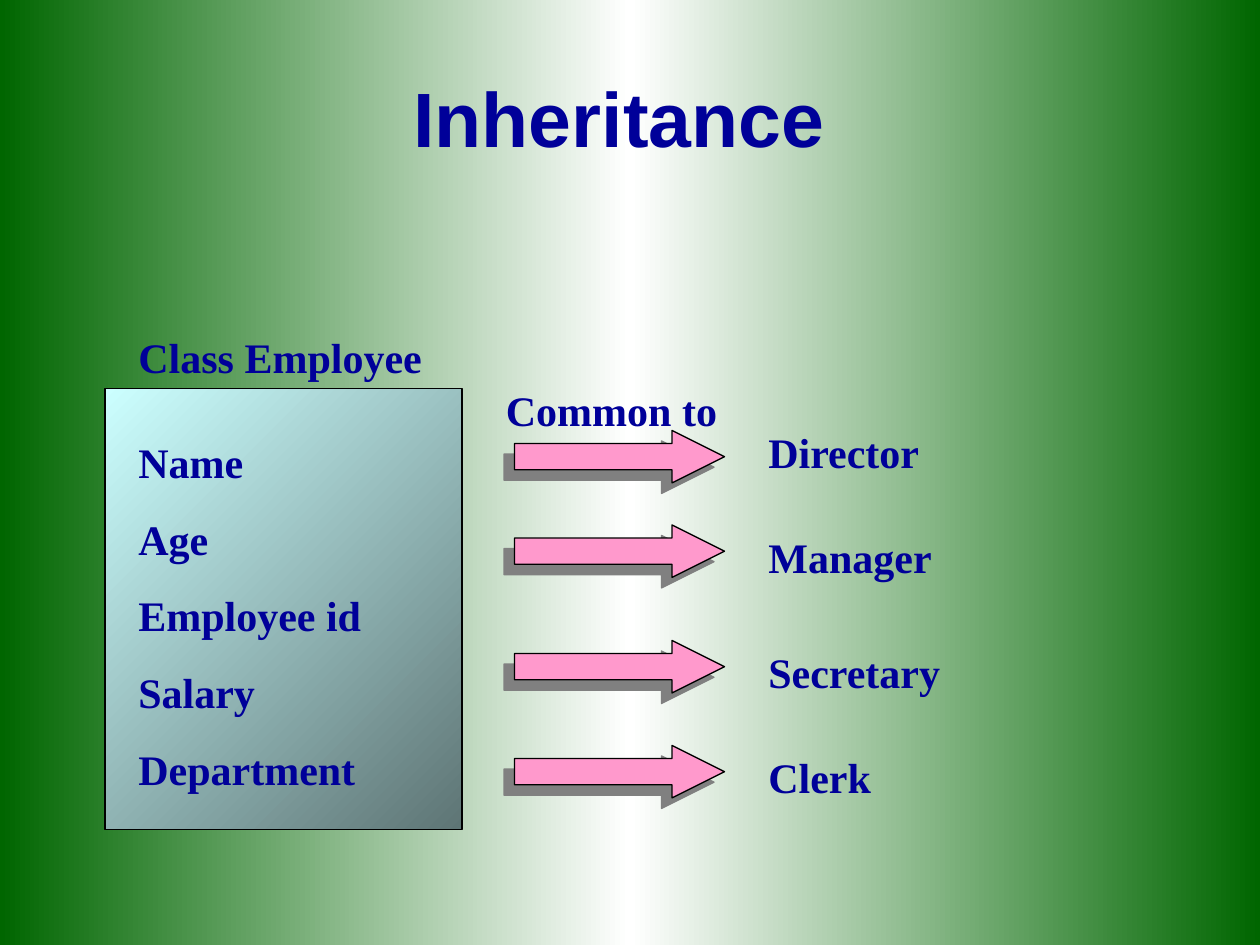
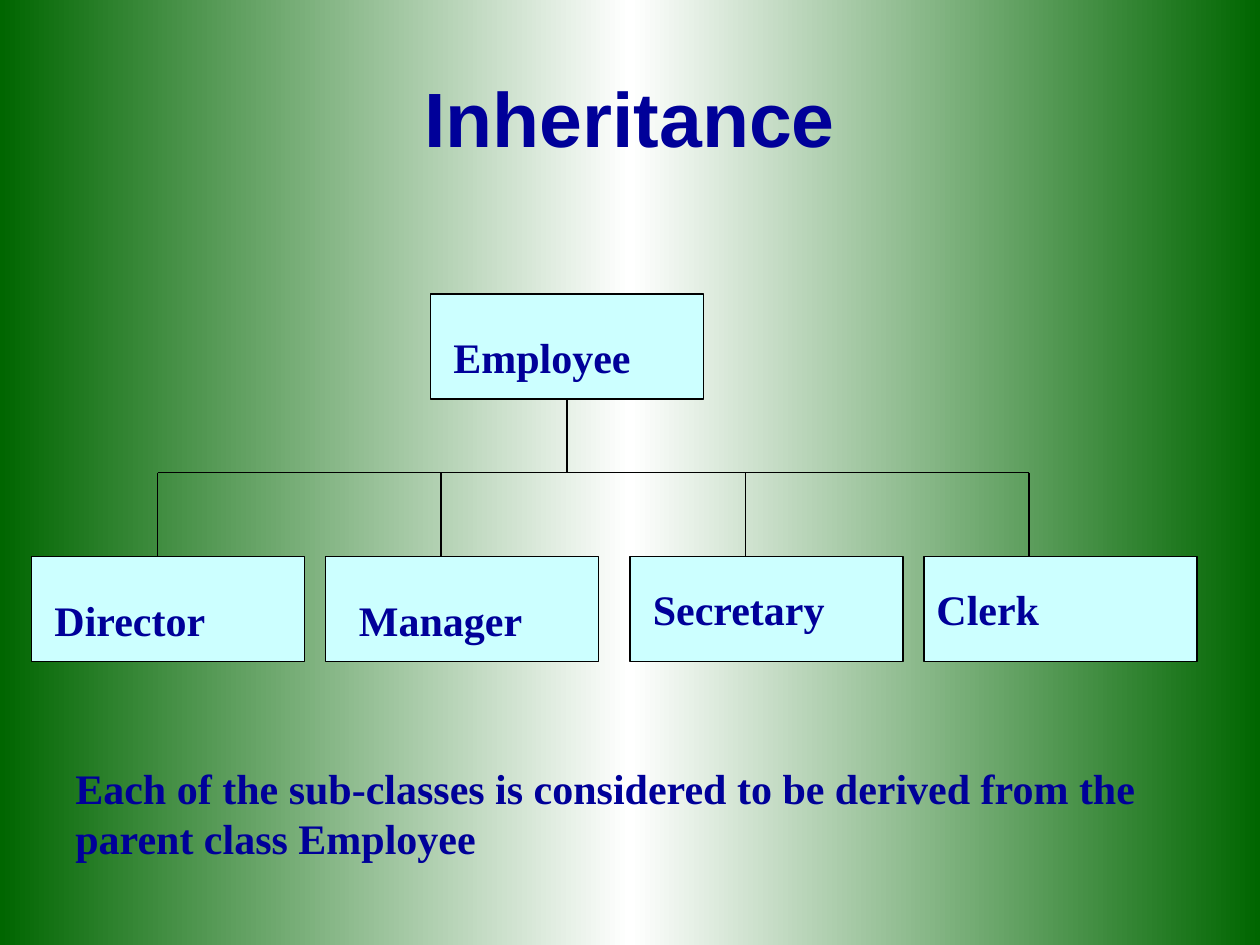
from copy import deepcopy
from typing import NamedTuple, Sequence

from lxml import etree
from pptx import Presentation
from pptx.dml.color import RGBColor
from pptx.enum import shapes, text
from pptx.oxml.ns import qn
from pptx.util import Pt

GREEN = RGBColor(0x00, 0x66, 0x00)
WHITE = RGBColor(0xFF, 0xFF, 0xFF)
BLACK = RGBColor(0x00, 0x00, 0x00)
NAVY = RGBColor(0x00, 0x00, 0x99)
PALE_CYAN = RGBColor(0xCC, 0xFF, 0xFF)
DARK_TEAL = RGBColor(0x5E, 0x75, 0x75)
PINK = RGBColor(0xFF, 0x99, 0xCC)
GREY = RGBColor(0x80, 0x80, 0x80)

TITLE_FONT = {"name": "Arial", "size": Pt(44), "bold": True}
BODY_FONT = {"name": "Times New Roman", "size": Pt(24), "bold": True}
LINE_WIDTH = Pt(0.75)
LABEL_HEIGHT = 36


class Box(NamedTuple):
    """A rectangle in points."""
    left: float
    top: float
    width: float
    height: float

    def lengths(self) -> list:
        return [Pt(v) for v in self]


class Role(NamedTuple):
    """A role that shares the employee fields, with its arrow."""
    name: str
    arrow_top: float
    label_top: float
    label_width: float


class Subclass(NamedTuple):
    """A box in the lower row of the tree, its label and its branch line."""
    name: str
    box_left: float
    branch_x: float
    label: Box


FIELDS = ["Name", "Age", "Employee id", "Salary", "Department"]
ROLES = [
    Role("Director", 246, 240, 174),
    Role("Manager", 300, 300, 126),
    Role("Secretary", 366, 366, 126),
    Role("Clerk", 426, 426, 168),
]
SUBCLASSES = [
    Subclass("Director", 18, 90, Box(24, 336, 168, LABEL_HEIGHT)),
    Subclass("Manager", 186, 252, Box(198, 336, 120, LABEL_HEIGHT)),
    Subclass("Secretary", 360, 426, Box(366, 330, 156, LABEL_HEIGHT)),
    Subclass("Clerk", 528, 588, Box(528, 330, 192, LABEL_HEIGHT)),
]
CLASS_WIDTH, CLASS_HEIGHT = 156, 60
PARENT_TOP, CHILD_TOP, BRANCH_Y, TRUNK_X = 168, 318, 270, 324


def set_gradient(owner, fill, colors: Sequence[RGBColor], angle: float) -> None:
    """Fill with evenly spaced colours; owner is the object whose XML holds the fill."""
    fill.gradient()
    fill.gradient_angle = angle
    stop_list = owner.element.xpath(".//a:gsLst")[0]
    while len(stop_list) < len(colors):
        stop_list.append(deepcopy(stop_list[0]))
    for i, (stop, color) in enumerate(zip(fill.gradient_stops, colors)):
        stop.color.rgb = color
        stop.position = i / (len(colors) - 1)


def add_text(s, box: Box, lines: Sequence[str], font: dict, paragraph: dict, frame: dict) -> None:
    tf = s.shapes.add_textbox(*box.lengths()).text_frame
    for name, value in frame.items():
        setattr(tf, name, value)
    tf.word_wrap = True
    for i, line in enumerate(lines):
        p = tf.add_paragraph() if i else tf.paragraphs[0]
        for name, value in paragraph.items():
            setattr(p, name, value)
        r = p.add_run()
        r.text = line
        r.font.color.rgb = NAVY
        for name, value in font.items():
            setattr(r.font, name, value)


def add_label(s, box: Box, *lines: str) -> None:
    add_text(s, box, lines, BODY_FONT, {"space_before": Pt(15)},
             {"auto_size": text.MSO_AUTO_SIZE.SHAPE_TO_FIT_TEXT})


def add_outlined(s, kind, box: Box, color: RGBColor):
    sp = s.shapes.add_shape(kind, *box.lengths())
    sp.fill.solid()
    sp.fill.fore_color.rgb = color
    sp.line.color.rgb = BLACK
    sp.line.width = LINE_WIDTH
    sp.shadow.inherit = False
    return sp


def add_class_box(s, left: float, top: float) -> None:
    add_outlined(s, shapes.MSO_SHAPE.RECTANGLE,
                 Box(left, top, CLASS_WIDTH, CLASS_HEIGHT), PALE_CYAN)


def add_arrow(s, box: Box) -> None:
    """Pink block arrow with a hard grey shadow to the lower left."""
    sp = add_outlined(s, shapes.MSO_SHAPE.RIGHT_ARROW, box, PINK)
    sp.adjustments[1] = 1
    effects = sp.element.spPr.find(qn("a:effectLst"))
    shadow = etree.SubElement(effects, qn("a:outerShdw"), blurRad="0", dist=str(Pt(8.5)),
                              dir=str(135 * 60000), algn="ctr", rotWithShape="0")
    etree.SubElement(shadow, qn("a:srgbClr"), val=str(GREY))


def add_line(s, x1: float, y1: float, x2: float, y2: float) -> None:
    line = s.shapes.add_connector(shapes.MSO_CONNECTOR.STRAIGHT, Pt(x1), Pt(y1), Pt(x2), Pt(y2))
    line.line.color.rgb = BLACK
    line.line.width = LINE_WIDTH
    etree.SubElement(line.element.spPr, qn("a:effectLst"))


def new_slide(prs, title: str):
    s = prs.slides.add_slide(prs.slide_layouts[6])
    set_gradient(s, s.background.fill, [GREEN, WHITE, GREEN], 0)
    add_text(s, Box(36, 21.6, 648, 90), [title], TITLE_FONT,
             {"alignment": text.PP_ALIGN.CENTER},
             {"vertical_anchor": text.MSO_ANCHOR.MIDDLE})
    return s


def build_common_fields(prs) -> None:
    s = new_slide(prs, "Inheritance ")
    panel = add_outlined(s, shapes.MSO_SHAPE.RECTANGLE, Box(60, 222, 204, 252), PALE_CYAN)
    set_gradient(panel, panel.fill, [PALE_CYAN, DARK_TEAL], 315)
    add_label(s, Box(72, 186, 180, LABEL_HEIGHT), "Class Employee")
    add_label(s, Box(72, 246, 186, 212), *FIELDS)
    for role in ROLES:
        add_arrow(s, Box(294, role.arrow_top, 120, 30))
        add_label(s, Box(432, role.label_top, role.label_width, LABEL_HEIGHT), role.name)
    add_label(s, Box(282, 216, 156, LABEL_HEIGHT), "Common to")


def build_class_tree(prs) -> None:
    s = new_slide(prs, "Inheritance")
    add_class_box(s, TRUNK_X - CLASS_WIDTH / 2, PARENT_TOP)
    add_line(s, TRUNK_X, PARENT_TOP + CLASS_HEIGHT, TRUNK_X, BRANCH_Y)
    add_line(s, SUBCLASSES[0].branch_x, BRANCH_Y, SUBCLASSES[-1].branch_x, BRANCH_Y)
    add_label(s, Box(252, 186, 174, LABEL_HEIGHT), "Employee")
    for sub in SUBCLASSES:
        add_class_box(s, sub.box_left, CHILD_TOP)
        add_line(s, sub.branch_x, BRANCH_Y, sub.branch_x, CHILD_TOP)
        add_label(s, sub.label, sub.name)
    add_label(s, Box(36, 432, 654, 65),
              "Each of the sub-classes is considered to be derived from the parent class Employee")


def main() -> None:
    prs = Presentation()
    prs.slide_width, prs.slide_height = Pt(720), Pt(540)
    build_common_fields(prs)
    build_class_tree(prs)
    prs.save("out.pptx")


if __name__ == "__main__":
    main()
